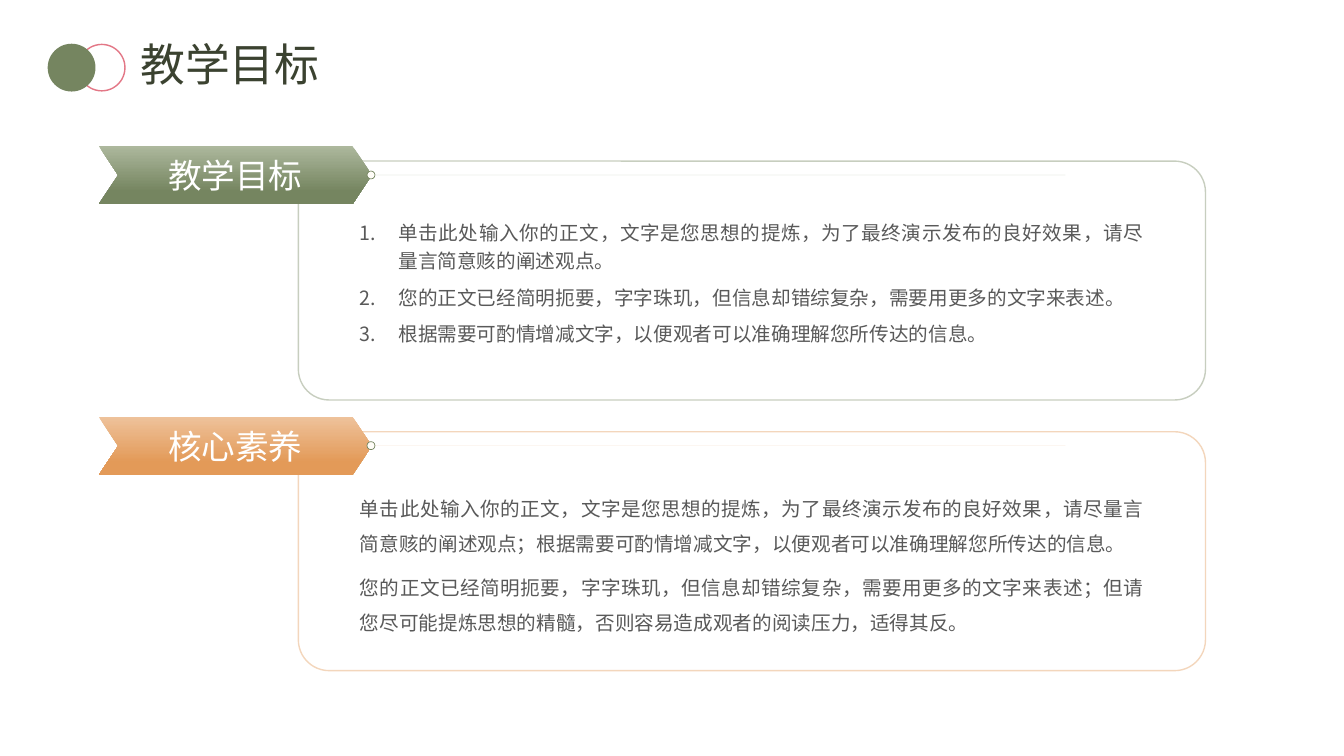
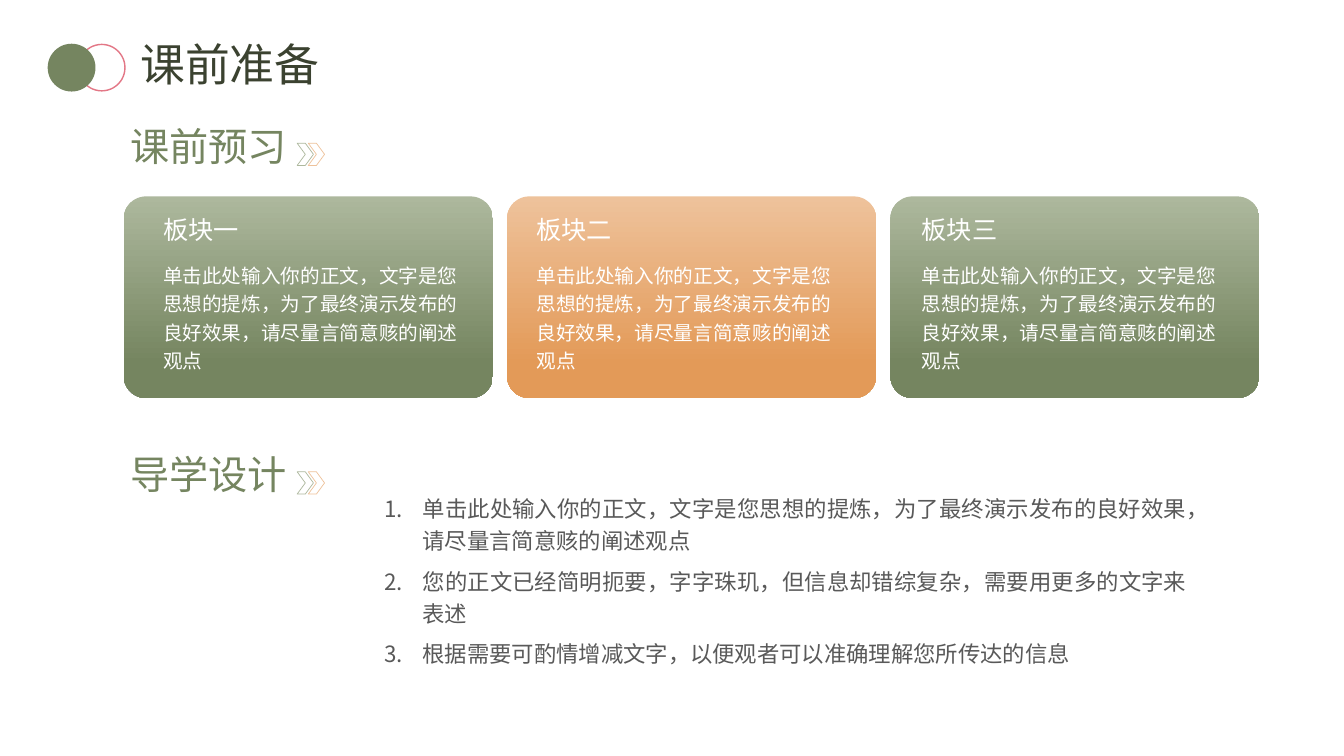
"""Two lesson slides: teaching goals and class preparation."""
from dataclasses import dataclass

from lxml.etree import SubElement
from pptx import Presentation
from pptx.dml.color import RGBColor
from pptx.enum.shapes import MSO_CONNECTOR, MSO_SHAPE
from pptx.enum.text import MSO_ANCHOR, MSO_AUTO_SIZE, PP_ALIGN
from pptx.oxml.ns import qn
from pptx.presentation import Presentation as Deck
from pptx.shapes.autoshape import Shape
from pptx.shapes.shapetree import _BaseShapes as Shapes
from pptx.slide import Slide
from pptx.text.text import TextFrame
from pptx.util import Cm, Pt


@dataclass(frozen=True)
class Theme:
    """Colours, font and type sizes of the deck."""
    font: str = "Noto Sans CJK SC"
    dark: str = "3B4230"
    grey: str = "595959"
    white: str = "FFFFFF"
    cream: str = "FFFDF8"
    pink: str = "E37786"
    green: str = "758560"
    sage: str = "ADB89D"
    orange: str = "E39A58"
    peach: str = "EEC29B"
    title: int = 32
    head: int = 28
    label: int = 24
    name: int = 18
    large: int = 16
    body: int = 14


@dataclass(frozen=True)
class Box:
    """A place on the slide in centimetres."""
    left: float
    top: float
    width: float
    height: float

    def at(self) -> tuple[Cm, Cm, Cm, Cm]:
        """Give the four lengths."""
        return Cm(self.left), Cm(self.top), Cm(self.width), Cm(self.height)


@dataclass(frozen=True)
class Style:
    """How a block of text is set; a pitch is a factor of 1.2 times the size."""
    size: int
    color: str
    align: PP_ALIGN = PP_ALIGN.LEFT
    pitch: float = 0
    gap: int = 0
    count: bool = False


@dataclass(frozen=True)
class Tone:
    """A light and a full colour for a gradient."""
    light: str
    full: str


@dataclass(frozen=True)
class Panel:
    """A framed panel with a ribbon label."""
    label: str
    tone: Tone


@dataclass(frozen=True)
class Card:
    """A filled card with a name and its text inset."""
    name: str
    tone: Tone
    inset: float


THEME = Theme()
GREEN = Tone(THEME.sage, THEME.green)
ORANGE = Tone(THEME.peach, THEME.orange)
PANELS = [Panel("教学目标", GREEN), Panel("核心素养", ORANGE)]
CARDS = [Card("板块一", GREEN, 0.99), Card("板块二", ORANGE, 0.74),
         Card("板块三", GREEN, 0.79)]
NOTE = "单击此处输入你的正文，文字是您思想的提炼，为了最终演示发布的良好效果，请尽量言简意赅的阐述观点"
TERSE = "您的正文已经简明扼要，字字珠玑，但信息却错综复杂，需要用更多的文字来表述"
ADAPT = "根据需要可酌情增减文字，以便观者可以准确理解您所传达的信息"
POINTS = [NOTE, TERSE, ADAPT]
ESSAY = [f"{NOTE}；{ADAPT}。",
         f"{TERSE}；但请您尽可能提炼思想的精髓，否则容易造成观者的阅读压力，适得其反。"]


def write(frame: TextFrame, lines: list[str], style: Style) -> None:
    """Fill a frame with styled paragraphs."""
    frame.word_wrap = True
    frame.auto_size = MSO_AUTO_SIZE.NONE
    frame.text = "\n".join(lines)
    for index, par in enumerate(frame.paragraphs):
        par.alignment = style.align
        par.space_before = Pt(style.gap if index else 0)
        if style.pitch:
            par.line_spacing = Pt(round(style.size * 1.2 * style.pitch, 1))
        props = par._p.get_or_add_pPr()
        if style.count:
            props.set("marL", str(Cm(0.97)))
            props.set("indent", str(-Cm(0.97)))
            SubElement(props, qn("a:buFont"), typeface=THEME.font)
            SubElement(props, qn("a:buAutoNum"), type="arabicPeriod")
        par.font.size = Pt(style.size)
        par.font.bold = False
        par.font.color.rgb = RGBColor.from_string(style.color)
        par.font.name = THEME.font
        SubElement(props.find(qn("a:defRPr")), qn("a:ea"), typeface=THEME.font)


def bare(frame: TextFrame) -> None:
    """Take the margins off a frame."""
    frame.margin_left = frame.margin_right = 0
    frame.margin_top = frame.margin_bottom = 0


def place(shape: Shape, box: Box) -> None:
    """Move a placeholder to a box."""
    shape.left, shape.top, shape.width, shape.height = box.at()


def text(slide: Slide, box: Box, lines: list[str], style: Style) -> None:
    """Add a text box without margins."""
    frame = slide.shapes.add_textbox(*box.at()).text_frame
    bare(frame)
    write(frame, lines, style)


def fade(item: Shape, share: int) -> None:
    """Make a line partly clear, keeping a share in percent."""
    color = item._element.xpath(".//a:ln//a:srgbClr")[0]
    SubElement(color, qn("a:alpha"), val=str(share * 1000))


def draw(shapes: Shapes, kind: MSO_SHAPE, box: Box, fill: str = "",
         line: str = "", weight: float = 1, bend: float | None = None) -> Shape:
    """Add a preset shape with an optional fill and line."""
    shape = shapes.add_shape(kind, *box.at())
    shape.shadow.inherit = False
    if bend is not None:
        shape.adjustments[0] = bend
    if fill:
        shape.fill.solid()
        shape.fill.fore_color.rgb = RGBColor.from_string(fill)
    else:
        shape.fill.background()
    if line:
        shape.line.color.rgb = RGBColor.from_string(line)
        shape.line.width = Pt(weight)
    else:
        shape.line.fill.background()
    return shape


def shade(shape: Shape, tone: Tone, end: float) -> None:
    """Fill a shape with a gradient from top to bottom."""
    shape.fill.gradient()
    shape.fill.gradient_angle = 270
    stops = zip(shape.fill.gradient_stops, (tone.light, tone.full), (0, end))
    for stop, color, spot in stops:
        stop.color.rgb = RGBColor.from_string(color)
        stop.position = spot


def start(deck: Deck, title: str, box: Box, size: int) -> Slide:
    """Add a slide with its circles, title and numbered list."""
    slide = deck.slides.add_slide(deck.slide_layouts[1])
    draw(slide.shapes, MSO_SHAPE.OVAL, Box(1.98, 1.12, 1.17, 1.17), line=THEME.pink)
    draw(slide.shapes, MSO_SHAPE.OVAL, Box(1.22, 1.12, 1.17, 1.17),
         THEME.green, THEME.green)
    head = slide.shapes.title
    place(head, Box(3.28, 0.91, 12.78, 1.55))
    write(head.text_frame, [title], Style(THEME.title, THEME.dark))
    head.text_frame.paragraphs[0].line_spacing = 0.9
    body = slide.placeholders[1]
    place(body, box)
    bare(body.text_frame)
    ends = "。" if size == THEME.body else ""
    write(body.text_frame, [point + ends for point in POINTS],
          Style(size, THEME.grey, PP_ALIGN.JUSTIFY, 1.2, 6, True))
    return slide


def frame(slide: Slide, panel: Panel, top: float) -> None:
    """Draw a panel with its ribbon, rule and dot."""
    shapes = slide.shapes
    edge = draw(shapes, MSO_SHAPE.ROUNDED_RECTANGLE, Box(7.52, top, 22.86, 6.02),
                line=panel.tone.full, bend=0.129)
    fade(edge, 40)
    label = draw(shapes, MSO_SHAPE.CHEVRON, Box(2.49, top - 0.38, 6.88, 1.47),
                 bend=0.332)
    shade(label, panel.tone, 0.78)
    write(label.text_frame, [panel.label],
          Style(THEME.label, THEME.white, PP_ALIGN.CENTER))
    label.text_frame.word_wrap = False
    label.text_frame.vertical_anchor = MSO_ANCHOR.MIDDLE
    mid = Cm(top + 0.35)
    rule = shapes.add_connector(MSO_CONNECTOR.STRAIGHT, Cm(9.35), mid, Cm(26.85), mid)
    rule.line.color.rgb = RGBColor.from_string(panel.tone.full)
    rule.line.width = Pt(0.5)
    fade(rule, 12)
    SubElement(rule._element.spPr, qn("a:effectLst"))
    draw(shapes, MSO_SHAPE.OVAL, Box(9.25, top + 0.25, 0.2, 0.2),
         THEME.cream, THEME.green, 0.5)


def goals(deck: Deck) -> None:
    """Build the slide of teaching goals."""
    slide = start(deck, "教学目标", Box(9.07, 5.44, 19.74, 3.28), THEME.body)
    for index, panel in enumerate(PANELS):
        frame(slide, panel, 4.06 + 6.82 * index)
    text(slide, Box(9.07, 12.22, 19.74, 3.73), ESSAY,
         Style(THEME.body, THEME.grey, PP_ALIGN.JUSTIFY, 1.5, 6))


def topic(slide: Slide, name: str, top: float) -> None:
    """Write a heading with a pair of small chevrons."""
    text(slide, Box(3.28, top, 5.74, 1.19), [name], Style(THEME.head, THEME.green))
    pair = slide.shapes.add_group_shape()
    for index, color in enumerate((THEME.sage, THEME.peach)):
        draw(pair.shapes, MSO_SHAPE.CHEVRON,
             Box(7.49 + 0.28 * index, top + 0.54, 0.41, 0.56), line=color, weight=0.5)


def prepare(deck: Deck) -> None:
    """Build the slide of class preparation."""
    slide = start(deck, "课前准备", Box(9.68, 12.34, 20.24, 4.5), THEME.large)
    topic(slide, "课前预习", 3.07)
    topic(slide, "导学设计", 11.35)
    for index, card in enumerate(CARDS):
        left = 3.12 + 9.66 * index
        back = draw(slide.shapes, MSO_SHAPE.ROUNDED_RECTANGLE,
                    Box(left, 4.95, 9.3, 5.08), bend=0.11)
        shade(back, card.tone, 0.83)
        left += card.inset
        text(slide, Box(left, 5.41, 3.84, 0.76), [card.name],
             Style(THEME.name, THEME.white))
        text(slide, Box(left, 6.53, 7.77, 2.84), [NOTE],
             Style(THEME.body, THEME.white, pitch=1.2))


def main() -> None:
    """Build and save the deck."""
    deck = Presentation()
    deck.slide_width, deck.slide_height = Cm(33.87), Cm(19.05)
    goals(deck)
    prepare(deck)
    deck.save("out.pptx")


if __name__ == "__main__":
    main()
